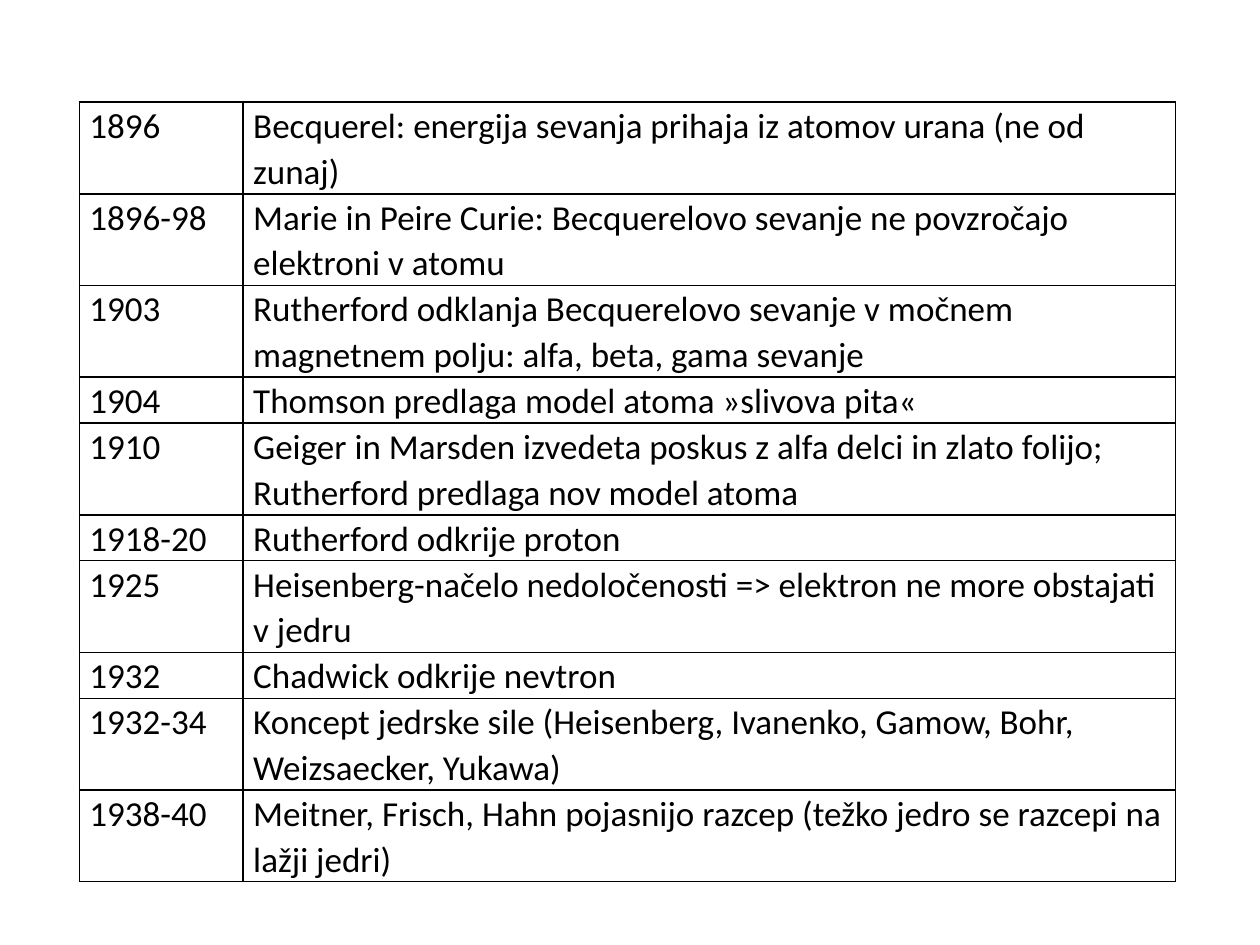
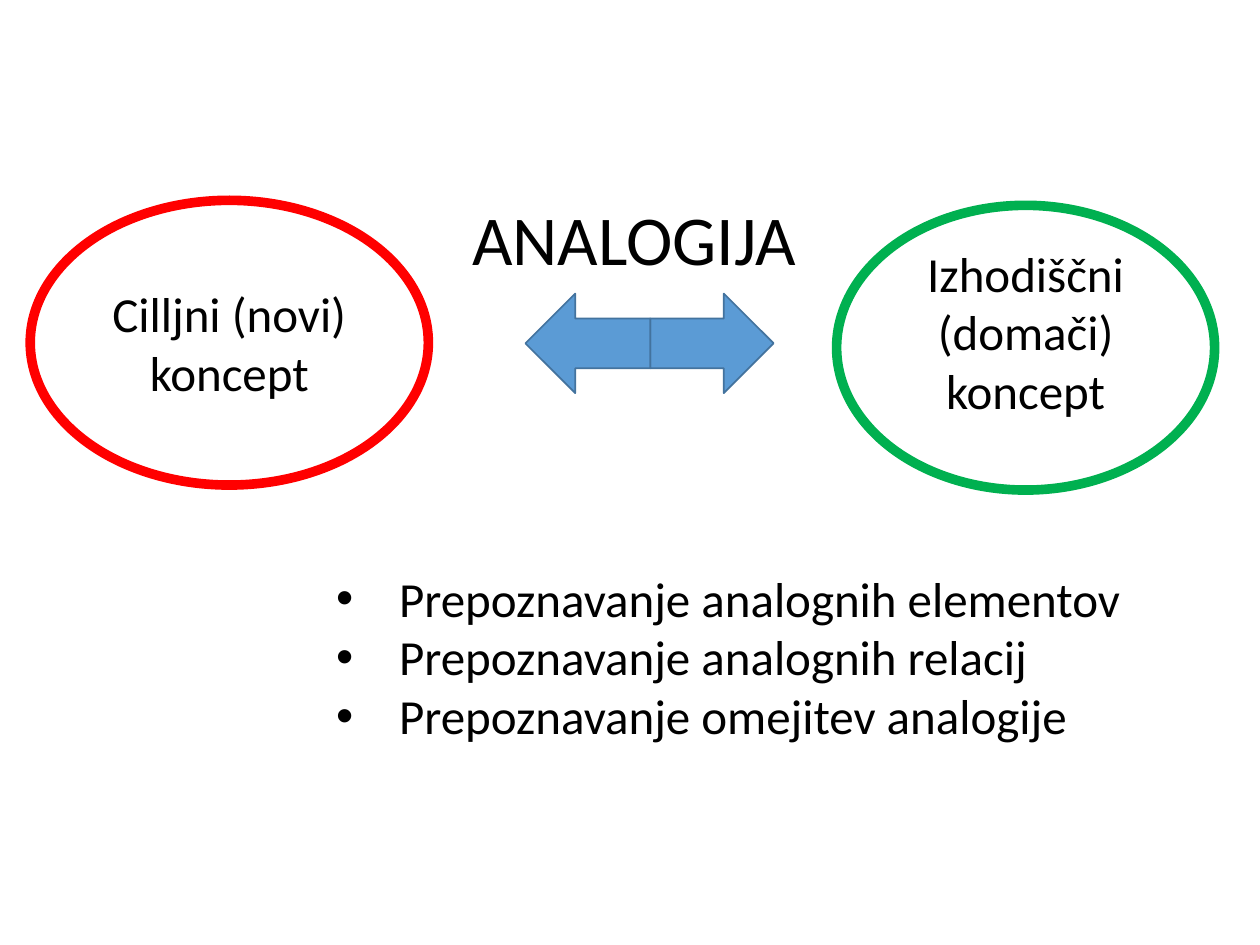
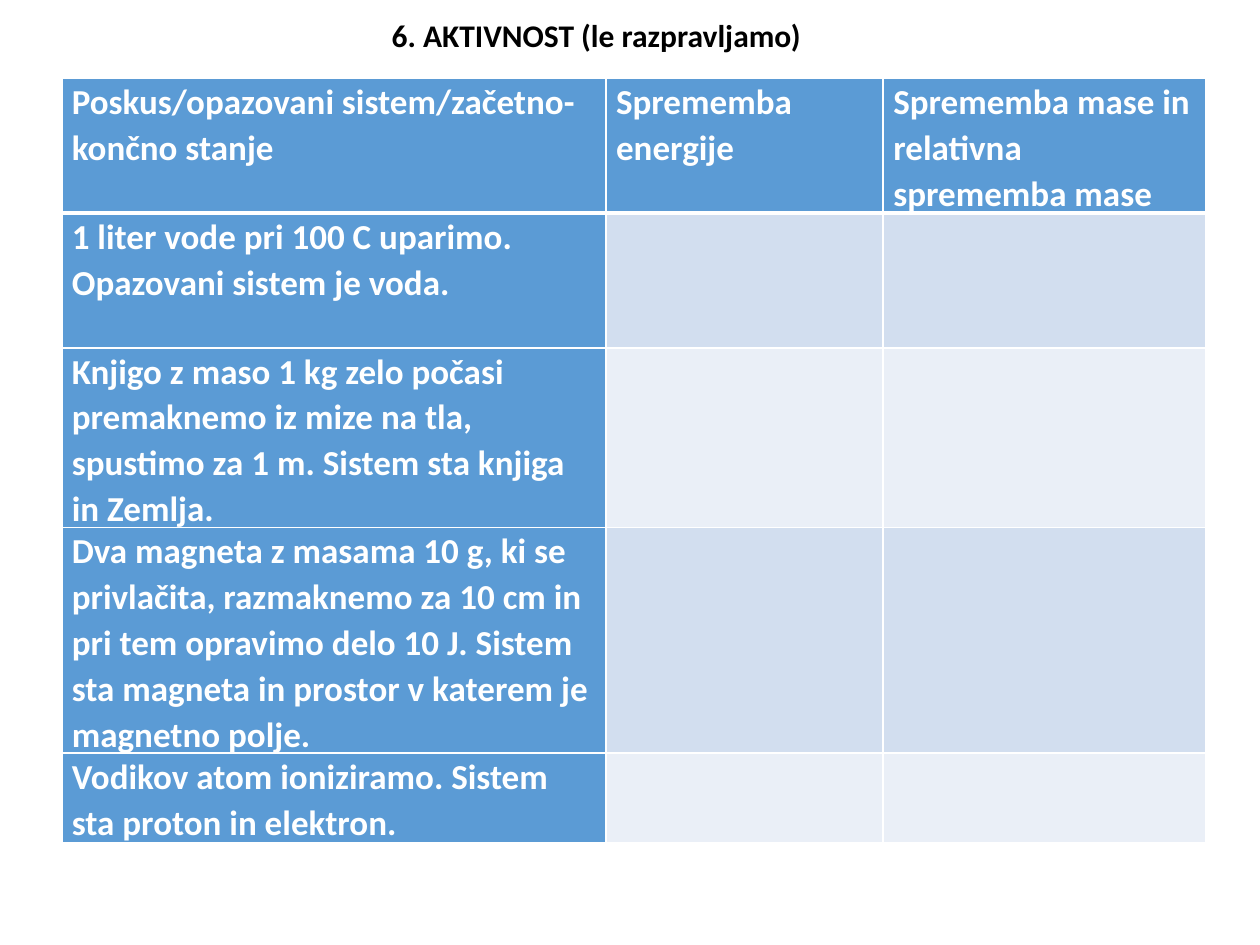
import pptx
import pptx.util
import pptx.dml.color
import pptx.enum.shapes
import pptx.enum.text
import pptx.oxml
import pptx.oxml.ns
from lxml import etree

Inches = pptx.util.Inches
Pt = pptx.util.Pt
RGBColor = pptx.dml.color.RGBColor
Shape = pptx.enum.shapes.MSO_SHAPE
Align = pptx.enum.text.PP_ALIGN

FONT = "Calibri"
BLACK = RGBColor(0x00, 0x00, 0x00)
WHITE = RGBColor(0xFF, 0xFF, 0xFF)
RED = RGBColor(0xFF, 0x00, 0x00)
GREEN = RGBColor(0x00, 0xB0, 0x50)
BLUE = RGBColor(0x5B, 0x9B, 0xD5)
DARK_BLUE = RGBColor(0x43, 0x73, 0x9E)
BANDS = [RGBColor(0xD2, 0xDE, 0xEF), RGBColor(0xEA, 0xEF, 0xF7)]

TIMELINE = [
    ("1896", "Becquerel: energija sevanja prihaja iz atomov urana (ne od zunaj)"),
    ("1896-98", "Marie in Peire Curie: Becquerelovo sevanje ne povzročajo elektroni v atomu"),
    ("1903", "Rutherford odklanja Becquerelovo sevanje v močnem magnetnem polju: "
             "alfa, beta, gama sevanje"),
    ("1904", "Thomson predlaga model atoma »slivova pita«"),
    ("1910", "Geiger in Marsden izvedeta poskus z alfa delci in zlato folijo; "
             "Rutherford predlaga nov model atoma"),
    ("1918-20", "Rutherford odkrije proton"),
    ("1925", "Heisenberg-načelo nedoločenosti => elektron ne more obstajati v jedru"),
    ("1932", "Chadwick odkrije nevtron"),
    ("1932-34", "Koncept jedrske sile (Heisenberg, Ivanenko, Gamow, Bohr, "
                "Weizsaecker, Yukawa)"),
    ("1938-40", "Meitner, Frisch, Hahn pojasnijo razcep "
                "(težko jedro se razcepi na lažji jedri)"),
]

EXPERIMENTS = [
    ("Poskus/opazovani sistem/začetno-končno stanje", "Sprememba energije",
     "Sprememba mase in relativna sprememba mase"),
    ("1 liter vode pri 100 C uparimo. Opazovani sistem je voda.", "", ""),
    ("Knjigo z maso 1 kg zelo počasi premaknemo iz mize na tla, spustimo za 1 m. "
     "Sistem sta knjiga in Zemlja.", "", ""),
    ("Dva magneta z masama 10 g, ki se privlačita, razmaknemo za 10 cm in pri tem "
     "opravimo delo 10 J. Sistem sta magneta in prostor v katerem je magnetno polje.",
     "", ""),
    ("Vodikov atom ioniziramo. Sistem sta proton in elektron.", "", ""),
]

ANALOGY_STEPS = [
    "Prepoznavanje analognih elementov",
    "Prepoznavanje analognih relacij",
    "Prepoznavanje omejitev analogije",
]


def add_slide(deck):
    return deck.slides.add_slide(deck.slide_layouts[6])


def style_paragraph(para, size, color, bold=False):
    for span in para.runs:
        span.font.name = FONT
        span.font.size = Pt(size)
        span.font.color.rgb = color
        span.font.bold = bold


def set_border(cell, color, top=1, bottom=1):
    """Draw all four edges of a cell; widths are in points."""
    properties = cell._tc.get_or_add_tcPr()
    for edge, width in (("L", 1), ("R", 1), ("T", top), ("B", bottom)):
        line = etree.SubElement(properties, pptx.oxml.ns.qn("a:ln" + edge), w=str(Pt(width)))
        fill = etree.SubElement(line, pptx.oxml.ns.qn("a:solidFill"))
        etree.SubElement(fill, pptx.oxml.ns.qn("a:srgbClr"), val=str(color))


def add_grid(page, place, widths, heights, rows, color, bold=False):
    """Add a plain table with its text; rows grow to fit their content."""
    frame = page.shapes.add_table(len(rows), len(widths), *map(Inches, place))
    table = frame.table
    table.first_row = table.horz_banding = False
    for column, width in zip(table.columns, widths):
        column.width = Inches(width)
    for row, height, texts in zip(table.rows, heights, rows):
        row.height = Inches(height)
        for cell, text in zip(row.cells, texts):
            cell.margin_left = cell.margin_right = Inches(0.08)
            cell.margin_top = cell.margin_bottom = 0
            cell.text_frame.text = text
            para = cell.text_frame.paragraphs[0]
            para.line_spacing = 1.07
            style_paragraph(para, 20, color, bold)
    frame.height = Inches(place[3])
    return table


def add_text(page, place, lines, size, bold=False, align=Align.LEFT, wrap=True):
    box = page.shapes.add_textbox(*map(Inches, place))
    frame = box.text_frame
    frame.word_wrap = wrap
    frame.auto_size = pptx.enum.text.MSO_AUTO_SIZE.SHAPE_TO_FIT_TEXT
    frame.text = "\n".join(lines)
    for para in frame.paragraphs:
        para.alignment = align
        style_paragraph(para, size, BLACK, bold)
    return box


def add_bullets(box, indent):
    for para in box.text_frame.paragraphs:
        properties = para._p.get_or_add_pPr()
        properties.set("marL", str(Inches(indent)))
        properties.set("indent", str(-Inches(indent)))
        etree.SubElement(properties, pptx.oxml.ns.qn("a:buFont"), typeface="Arial")
        etree.SubElement(properties, pptx.oxml.ns.qn("a:buChar"), char="•")


def add_outlined(page, kind, place, line, width, fill=None):
    shape = page.shapes.add_shape(kind, *map(Inches, place))
    shape.shadow.inherit = False
    if fill is None:
        shape.fill.background()
    else:
        shape.fill.solid()
        shape.fill.fore_color.rgb = fill
    shape.line.color.rgb = line
    shape.line.width = Pt(width)
    return shape


def build_timeline(page):
    table = add_grid(page, (0.63, 0.81, 8.7, 6.06), (1.3, 7.4),
                     [0] * len(TIMELINE), TIMELINE, BLACK)
    for cell in table.iter_cells():
        set_border(cell, BLACK)
        cell.fill.background()


def build_analogy(page):
    add_outlined(page, Shape.OVAL, (0.24, 1.59, 3.16, 2.26), RED, 5.5)
    add_outlined(page, Shape.OVAL, (6.64, 1.63, 3, 2.26), GREEN, 5.5)
    add_text(page, (0.59, 2.2, 2.46, 1.04), ["Cilljni (novi) koncept"], 28,
             align=Align.CENTER)
    add_text(page, (6.91, 1.88, 2.46, 1.51), ["Izhodiščni (domači) koncept"], 28,
             align=Align.CENTER)
    for left, width, rotation in ((5.16, 0.98, 0), (4.17, 0.99, 180)):
        arrow = add_outlined(page, Shape.RIGHT_ARROW, (left, 2.33, width, 0.79),
                             DARK_BLUE, 1, BLUE)
        arrow.rotation = rotation
    add_text(page, (3.65, 1.5, 2.8, 0.77), ["ANALOGIJA"], 40, wrap=False)
    steps = add_text(page, (2.57, 4.46, 6.49, 1.51), ANALOGY_STEPS, 28, wrap=False)
    add_bullets(steps, 0.5)


def build_activity(page):
    table = add_grid(page, (0.49, 0.62, 9.08, 6.07), (4.32, 2.2, 2.56),
                     (1.07, 1.07, 1.42, 1.79, 0.71), EXPERIMENTS, WHITE, bold=True)
    for row_index, row in enumerate(table.rows):
        for column_index, cell in enumerate(row.cells):
            set_border(cell, WHITE, top=3 if row_index == 1 else 1,
                       bottom=3 if row_index == 0 else 1)
            is_heading = row_index == 0 or column_index == 0
            cell.fill.solid()
            cell.fill.fore_color.rgb = BLUE if is_heading else BANDS[(row_index - 1) % 2]
    add_text(page, (3.01, 0.08, 4.04, 0.4), ["6. AKTIVNOST (le razpravljamo)"], 18, bold=True)


def main():
    deck = pptx.Presentation()
    deck.slide_width = Inches(10)
    deck.slide_height = Inches(7.5)
    for build in (build_timeline, build_analogy, build_activity):
        build(add_slide(deck))
    deck.save("out.pptx")


if __name__ == "__main__":
    main()
